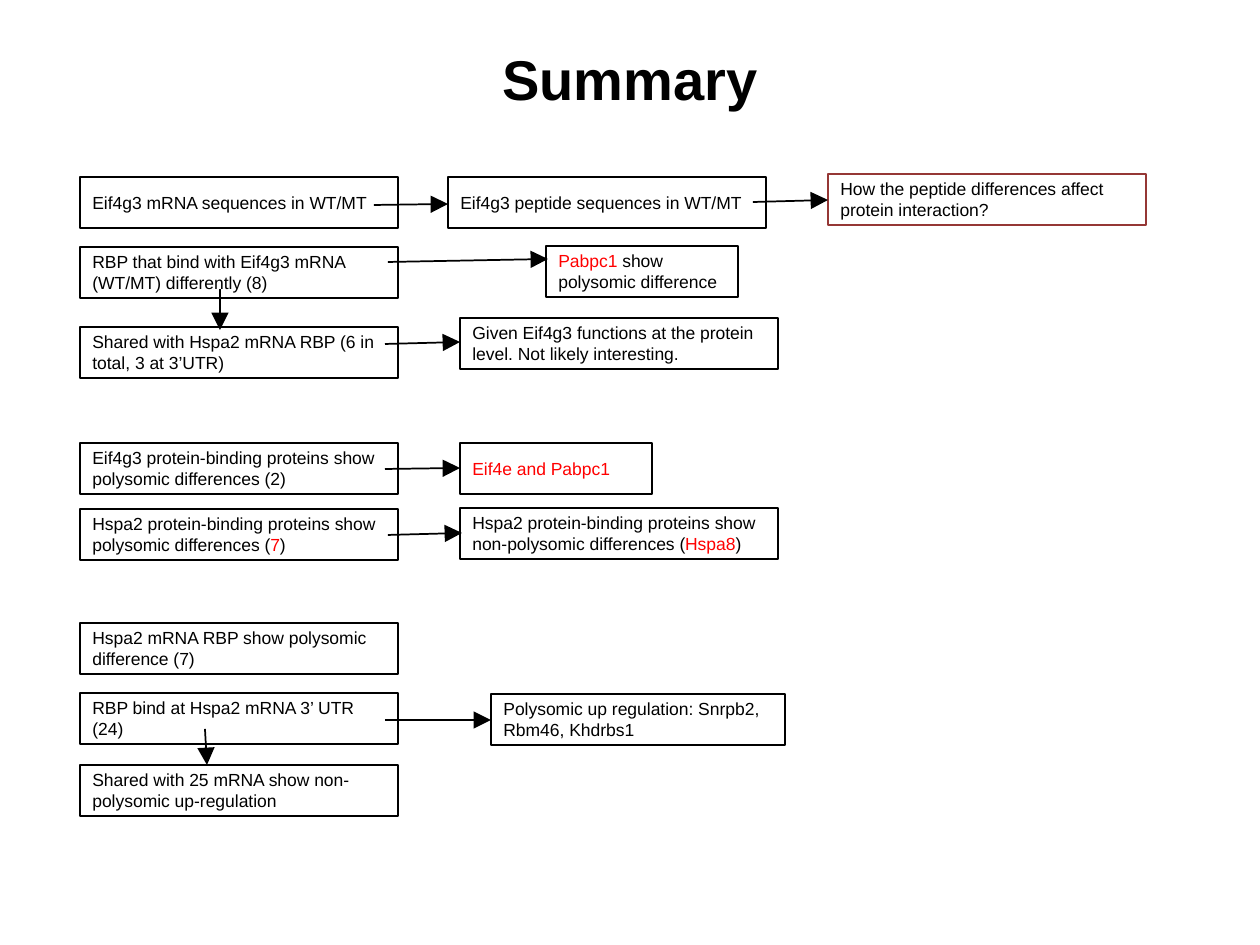
from lxml.etree import SubElement
from pptx import Presentation
from pptx.dml.color import RGBColor as RGB
from pptx.enum.shapes import MSO_CONNECTOR as CONN, MSO_SHAPE as SHAPE
from pptx.enum.text import MSO_ANCHOR as ANCHOR, PP_ALIGN as ALIGN
from pptx.oxml.ns import qn
from pptx.util import Pt

EMU_PER_PX = 914400 / 126
COLORS = {"ink": "000000", "paper": "FFFFFF", "key": "FF0000", "question": "953735"}
LEFT, MIDDLE = 80, 460  # column edges
WIDE, NARROW, BOX_H = 318, 192, 51

# Boxes: text (*marked* parts are key findings), left, top, width, outline
BOXES = [
    # Sequence comparison
    ("Eif4g3 mRNA sequences in WT/MT", LEFT, 177, WIDE, "ink"),
    ("Eif4g3 peptide sequences in WT/MT", 448, 177, WIDE, "ink"),
    ("How the peptide differences affect protein interaction?", 828, 174, WIDE, "question"),
    # Proteins that bind Eif4g3 mRNA
    ("RBP that bind with Eif4g3 mRNA (WT/MT) differently (8)", LEFT, 247, WIDE, "ink"),
    ("*Pabpc1* show polysomic difference", 546, 246, NARROW, "ink"),
    ("Shared with Hspa2 mRNA RBP (6 in total, 3 at 3’UTR)", LEFT, 327, WIDE, "ink"),
    ("Given Eif4g3 functions at the protein level. Not likely interesting.",
     MIDDLE, 318, WIDE, "ink"),
    # Protein-binding proteins
    ("Eif4g3 protein-binding proteins show polysomic differences (2)", LEFT, 443, WIDE, "ink"),
    ("*Eif4e and Pabpc1*", MIDDLE, 443, NARROW, "ink"),
    ("Hspa2 protein-binding proteins show polysomic differences (*7*)", LEFT, 509, WIDE, "ink"),
    ("Hspa2 protein-binding proteins show non-polysomic differences (*Hspa8*)",
     MIDDLE, 508, WIDE, "ink"),
    # Proteins that bind Hspa2 mRNA
    ("Hspa2 mRNA RBP show polysomic difference (7)", LEFT, 623, WIDE, "ink"),
    ("RBP bind at Hspa2 mRNA 3’ UTR (24)", LEFT, 693, WIDE, "ink"),
    ("Polysomic up regulation: Snrpb2, Rbm46, Khdrbs1", 491, 694, 294, "ink"),
    ("Shared with 25 mRNA show non-polysomic up-regulation", LEFT, 765, WIDE, "ink"),
]

# Arrows: start x, start y, end x, end y
ARROWS = [
    (374, 205, 448, 204), (753, 202, 828, 200),
    (388, 262, 548, 259), (220, 289, 220, 330), (385, 344, 460, 342),
    (385, 469, 460, 468), (388, 535, 462, 533),
    (385, 720, 491, 720), (205, 729, 207, 765),
]


def px(*lengths):
    return [round(n * EMU_PER_PX) for n in lengths]


def color(name):
    return RGB.from_string(COLORS[name])


def write_text(tf, text, size=10, bold=False, align=ALIGN.LEFT):
    """Write one paragraph; parts between asterisks take the key colour."""
    tf.word_wrap = True
    tf.vertical_anchor = ANCHOR.MIDDLE
    p = tf.paragraphs[0]
    p.alignment = align
    for i, part in enumerate(text.split("*")):
        if part:
            r = p.add_run()
            r.text = part
            r.font.name, r.font.size, r.font.bold = "Arial", Pt(size), bold
            r.font.color.rgb = color("key" if i % 2 else "ink")


def add_title(s, text):
    title = s.shapes.title
    title.left, title.top, title.width, title.height = px(63, -1, 1134, 158)
    write_text(title.text_frame, text, size=32, bold=True, align=ALIGN.CENTER)


def add_box(s, text, left, top, width, outline):
    sp = s.shapes.add_shape(SHAPE.RECTANGLE, *px(left, top, width, BOX_H))
    sp.shadow.inherit = False
    sp.fill.solid()
    sp.fill.fore_color.rgb = color("paper")
    sp.line.color.rgb = color(outline)
    sp.line.width = Pt(1)
    write_text(sp.text_frame, text)


def add_arrow(s, *ends):
    arrow = s.shapes.add_connector(CONN.STRAIGHT, *px(*ends))
    arrow.line.color.rgb = color("ink")
    arrow.line.width = Pt(1)
    # Arrowhead at the end, no shadow
    SubElement(arrow.line._get_or_add_ln(), qn("a:tailEnd"), type="triangle", w="lg", len="lg")
    SubElement(arrow._element.spPr, qn("a:effectLst"))


def main():
    prs = Presentation()
    prs.slide_width, prs.slide_height = px(1260, 945)
    s = prs.slides.add_slide(prs.slide_layouts[5])
    add_title(s, "Summary")
    for box in BOXES:
        add_box(s, *box)
    for ends in ARROWS:
        add_arrow(s, *ends)
    prs.save("out.pptx")


if __name__ == "__main__":
    main()
